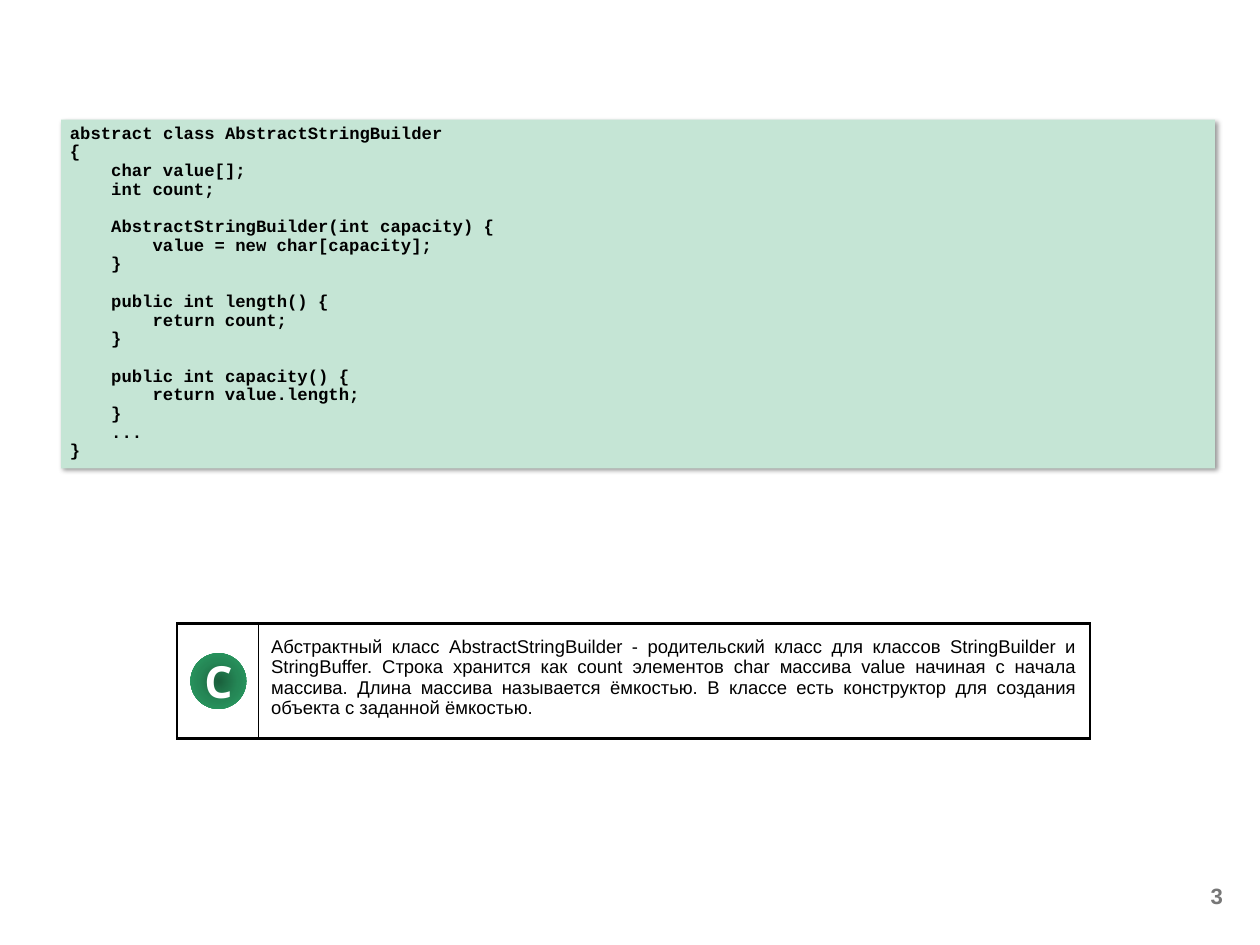
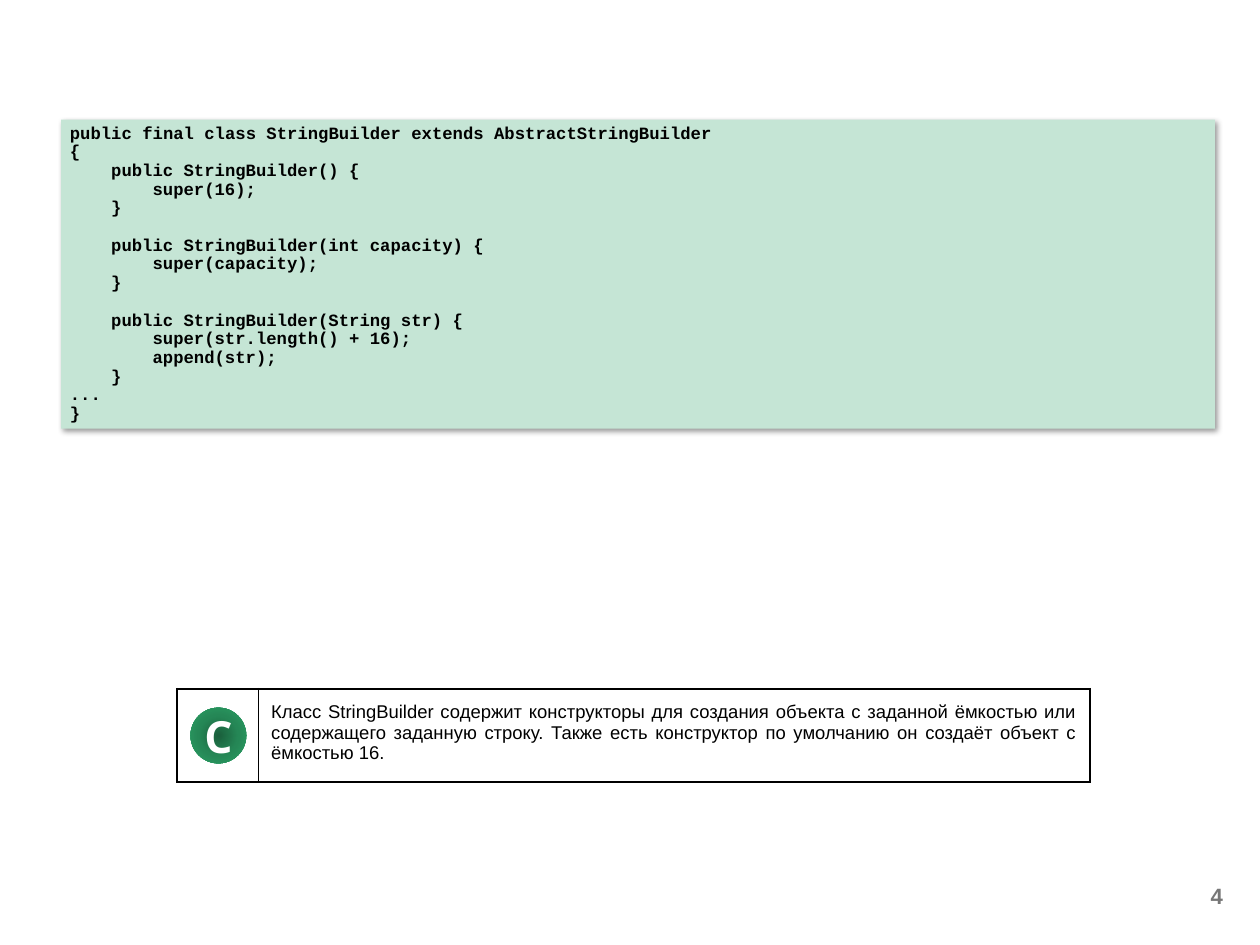
"""Two slides on string builder classes: a code panel and a note with a class badge."""
from pptx import Presentation
from pptx.dml.color import RGBColor
from pptx.enum.shapes import MSO_SHAPE as SHAPE
from pptx.enum.text import MSO_ANCHOR as ANCHOR, PP_ALIGN as ALIGN
from pptx.oxml import parse_xml
from pptx.oxml.ns import nsdecls
from pptx.util import Inches, Pt

BLACK, WHITE, GREY, MINT = "000000", "FFFFFF", "777777", "C5E5D5"
BADGE_STOPS = {0: "1A5F3C", 50: "258756", 100: "2BA166"}
FORMATS = {
    "number": {"name": "Arial", "size": Pt(18), "bold": True},
    "code": {"name": "Courier New", "size": Pt(14), "bold": True},
    "note": {"name": "Arial", "size": Pt(15), "bold": False},
    "badge": {"name": "Open Sans", "size": Pt(36), "bold": True},
}
MARGINS = ("margin_left", "margin_top", "margin_right", "margin_bottom")
THICK, THIN = 2.25, 0.5
CELL_BORDERS = [
    {"lnL": THICK, "lnR": THIN, "lnT": THICK, "lnB": THICK},
    {"lnL": THIN, "lnR": THICK, "lnT": THICK, "lnB": THICK},
]
CODE_LINE = 15.2
CODE_INDENT = 8.4
BADGE = 0.63

SLIDES = [
    {
        "number": "3", "code_height": 3.94, "note_top": 7.04, "note_height": 1.3,
        "code": """abstract class AbstractStringBuilder
{
    char value[];
    int count;

    AbstractStringBuilder(int capacity) {
        value = new char[capacity];
    }

    public int length() {
        return count;
    }

    public int capacity() {
        return value.length;
    }
    ...
}""",
        "note": "Абстрактный класс AbstractStringBuilder - родительcкий класс для классов "
                "StringBuilder и StringBuffer. Строка хранится как count элементов char "
                "массива value начиная с начала массива. Длина массива называется ёмкостью. "
                "В классе есть конструктор для создания объекта с заданной ёмкостью.",
    },
    {
        "number": "4", "code_height": 3.49, "note_top": 7.78, "note_height": 1.05,
        "code": """public final class StringBuilder extends AbstractStringBuilder
{
    public StringBuilder() {
        super(16);
    }

    public StringBuilder(int capacity) {
        super(capacity);
    }

    public StringBuilder(String str) {
        super(str.length() + 16);
        append(str);
    }
...
}""",
        "note": "Класс StringBuilder содержит конструкторы для создания объекта с заданной "
                "ёмкостью или содержащего заданную строку. Также есть конструктор по "
                "умолчанию он создаёт объект с ёмкостью 16.",
    },
]


def rgb(value):
    return RGBColor.from_string(value)


def write(p, text, style, color, align):
    p.alignment = align
    r = p.add_run()
    r.text = text
    for key, value in FORMATS[style].items():
        setattr(r.font, key, value)
    r.font.color.rgb = rgb(color)


prs = Presentation()
prs.slide_width, prs.slide_height = Inches(14.22), Inches(10.67)

for item in SLIDES:
    s = prs.slides.add_slide(prs.slide_layouts[6])

    tf = s.shapes.add_textbox(Inches(10.58), Inches(9.85), Inches(3.32), Inches(0.53)).text_frame
    tf.word_wrap = True
    tf.vertical_anchor = ANCHOR.MIDDLE
    write(tf.paragraphs[0], item["number"], "number", GREY, ALIGN.RIGHT)

    sp = s.shapes.add_shape(SHAPE.RECTANGLE, Inches(0.69), Inches(1.35),
                            Inches(13.02), Inches(item["code_height"]))
    sp.fill.solid()
    sp.fill.fore_color.rgb = rgb(MINT)
    sp.line.fill.background()
    sp.shadow.inherit = False
    sp.element.spPr.find("{*}effectLst").append(parse_xml(
        f'<a:outerShdw {nsdecls("a")} blurRad="{Pt(4)}" dist="{Pt(3)}" dir="2700000" '
        f'algn="tl" rotWithShape="0"><a:srgbClr val="{BLACK}"><a:alpha val="40000"/>'
        '</a:srgbClr></a:outerShdw>'))
    tf = sp.text_frame
    tf.word_wrap = True
    tf.vertical_anchor = ANCHOR.TOP
    p, gap = tf.paragraphs[0], 0
    for line in item["code"].splitlines():
        text = line.lstrip()
        if not text:
            gap = CODE_LINE
            continue
        if p.runs:
            p = tf.add_paragraph()
        write(p, text, "code", BLACK, ALIGN.LEFT)
        p.line_spacing, p.space_before = Pt(CODE_LINE), Pt(gap)
        indent = Pt(CODE_INDENT * (len(line) - len(text)))
        p._p.get_or_add_pPr().set("marL", str(indent))
        gap = 0

    top, height = item["note_top"], item["note_height"]
    table = s.shapes.add_table(1, 2, Inches(2), Inches(top), Inches(10.3), Inches(height)).table
    table.first_row = table.horz_banding = False
    for col, width, borders in zip(table.columns, (0.91, 9.39), CELL_BORDERS):
        col.width = Inches(width)
        cell = table.cell(0, CELL_BORDERS.index(borders))
        tcPr = cell._tc.get_or_add_tcPr()
        for side, weight in borders.items():
            tcPr.append(parse_xml(
                f'<a:{side} {nsdecls("a")} w="{Pt(weight)}"><a:solidFill>'
                f'<a:srgbClr val="{BLACK}"/></a:solidFill></a:{side}>'))
        cell.fill.solid()
        cell.fill.fore_color.rgb = rgb(WHITE)
    for margin in MARGINS:
        setattr(cell, margin, Inches(0.15))
    write(cell.text_frame.paragraphs[0], item["note"], "note", BLACK, ALIGN.JUSTIFY)

    sp = s.shapes.add_shape(SHAPE.OVAL, Inches(2.15), Inches(top + (height - BADGE) / 2),
                            Inches(BADGE), Inches(BADGE))
    sp.shadow.inherit = False
    sp.line.fill.background()
    stops = "".join(f'<a:gs pos="{pos * 1000}"><a:srgbClr val="{color}"/></a:gs>'
                    for pos, color in BADGE_STOPS.items())
    sp.element.spPr.find("{*}prstGeom").addnext(parse_xml(
        f'<a:gradFill {nsdecls("a")} rotWithShape="1"><a:gsLst>{stops}</a:gsLst>'
        '<a:path path="circle"><a:fillToRect l="50000" t="50000" r="50000" b="50000"/>'
        '</a:path></a:gradFill>'))
    tf = sp.text_frame
    for margin in MARGINS:
        setattr(tf, margin, 0)
    tf.vertical_anchor = ANCHOR.MIDDLE
    write(tf.paragraphs[0], "C", "badge", WHITE, ALIGN.CENTER)

prs.save("out.pptx")
